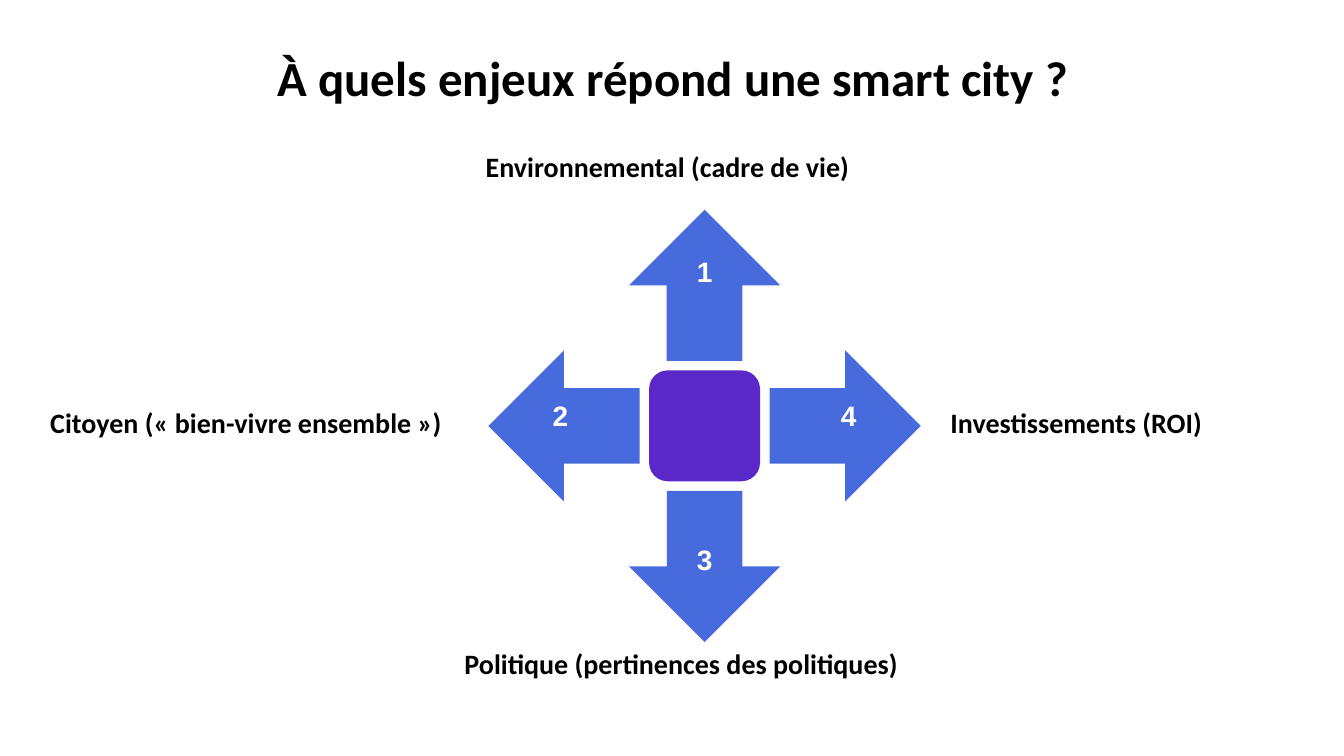
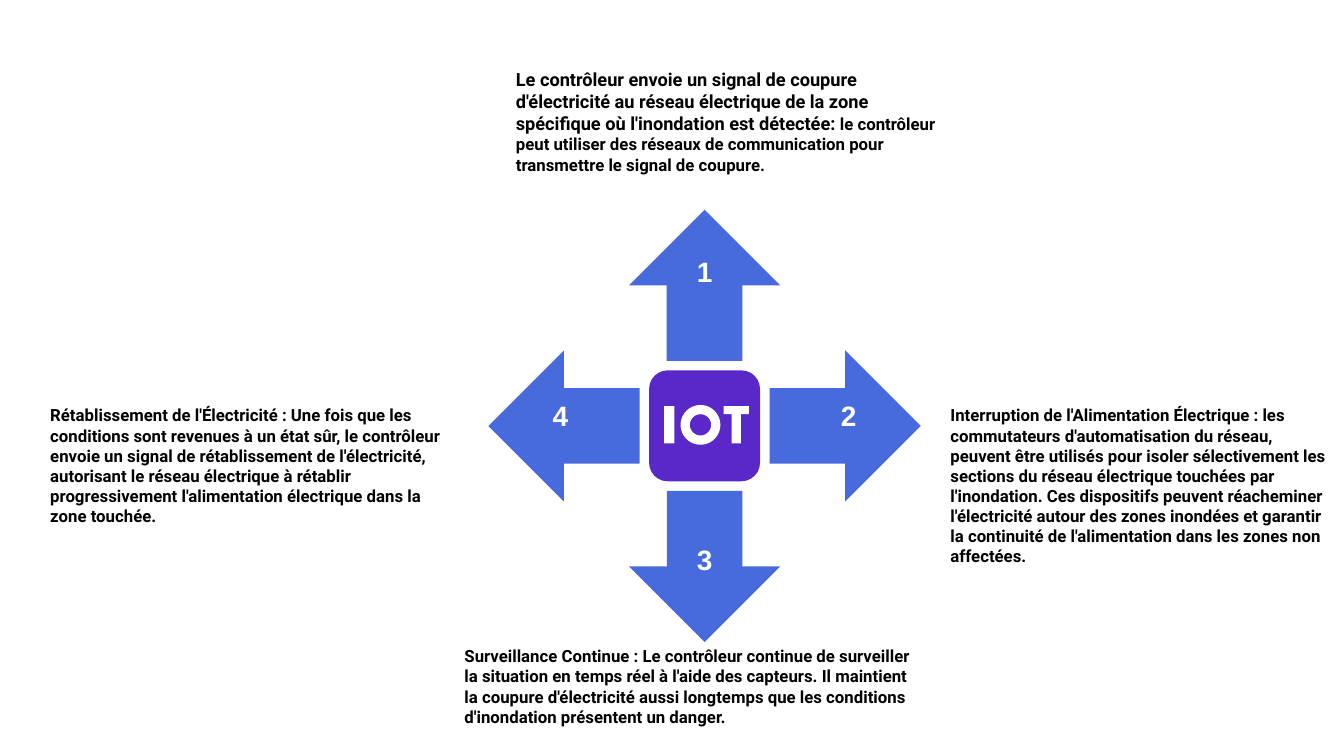
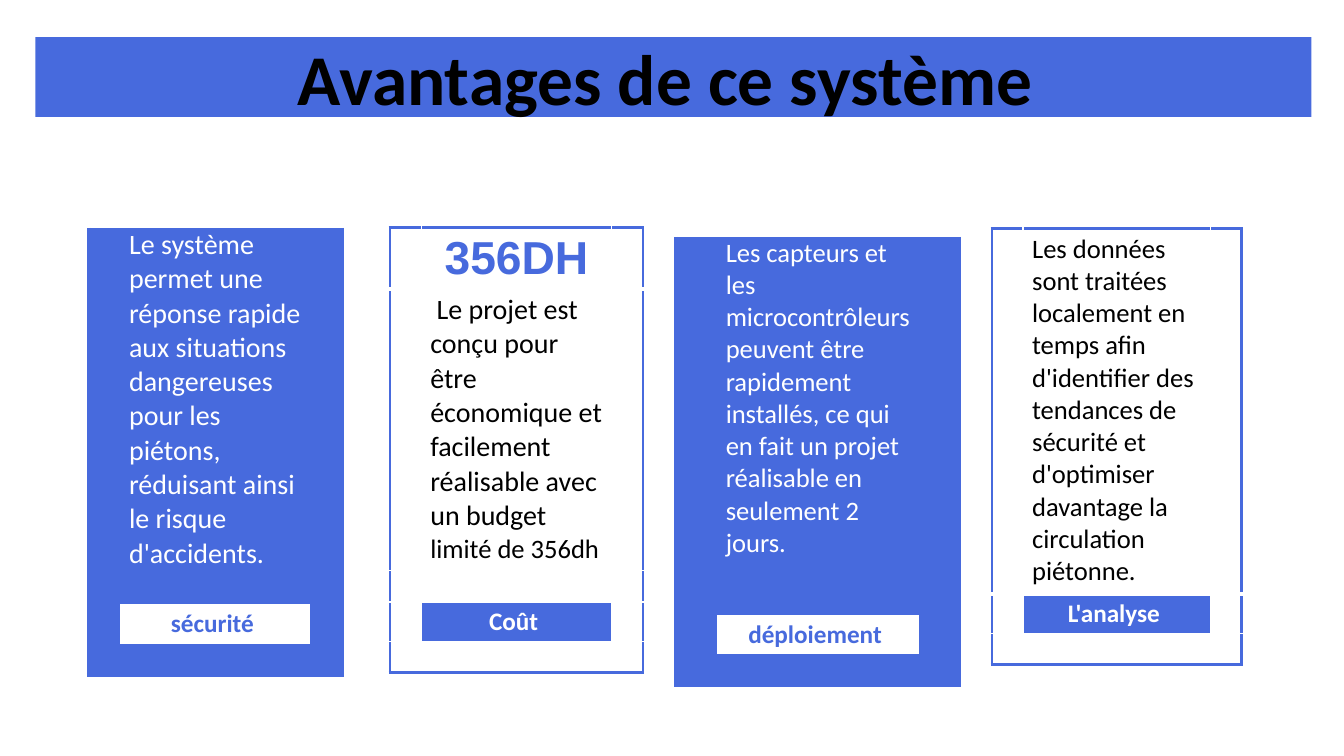
"""Build three slides on the smart city: its stakes, the IoT control loop and its advantages."""
import math

import lxml.etree
import pptx
import pptx.dml.color
import pptx.enum.shapes
import pptx.enum.text
import pptx.oxml.ns
import pptx.util

Pt = pptx.util.Pt
SHAPE = pptx.enum.shapes.MSO_SHAPE
ALIGN = pptx.enum.text.PP_ALIGN
ANCHOR = pptx.enum.text.MSO_ANCHOR

BLUE = pptx.dml.color.RGBColor(0x47, 0x6A, 0xDD)
PURPLE = pptx.dml.color.RGBColor(0x5A, 0x28, 0xC8)
BLACK = pptx.dml.color.RGBColor(0, 0, 0)
WHITE = pptx.dml.color.RGBColor(0xFF, 0xFF, 0xFF)

TITLE_BOX = (25.2, 26.6, 911.5, 56.9)
HUB_CENTER = (503.3, 304.2)
HUB_SIZE = 79.2
ARROW_SIZE = 108
ARROW_RADIUS = 100.4
NUMBER_RADIUS = 103
NUMBER_RISE = 7.2
NUMBER_SIZE = (44.6, 24.5)
NO_GRID_STYLE = "{2D5ABB26-0587-4C30-8999-92F81FD0307C}"
EDGES = {"left": "a:lnL", "right": "a:lnR", "top": "a:lnT", "bottom": "a:lnB"}

STAKES = {
    "title": "À quels enjeux répond une smart city ?",
    "font": "Calibri",
    "numbers": ["1", "4", "3", "2"],
    "labels": [
        ((339.8, 103, 327.6, 31.7), [("Environnemental (cadre de vie)", 20)]),
        ((671.8, 285.8, 288, 31.7), [("Investissements (ROI)", 20)]),
        ((324.7, 457.9, 341.3, 55.4), [("Politique (pertinences des politiques)", 20)]),
        ((28.8, 285.8, 308.2, 31.7), [("Citoyen (« bien-vivre ensemble »)", 20)]),
    ],
}

CONTROL_LOOP = {
    "font": "Roboto",
    "numbers": ["1", "2", "3", "4"],
    "labels": [
        ((361.4, 45.4, 327.6, 83.5), [
            ("Le contrôleur envoie un signal de coupure d'électricité au réseau électrique "
             "de la zone spécifique où l'inondation est détectée: ", 13),
            ("le contrôleur peut utiliser des réseaux de communication pour transmettre "
             "le signal de coupure.", 12)]),
        ((671.8, 285.8, 288, 123.8), [
            ("Interruption de l'Alimentation Électrique : les commutateurs d'automatisation "
             "du réseau, peuvent être utilisés pour isoler sélectivement les sections du "
             "réseau électrique touchées par l'inondation. Ces dispositifs peuvent "
             "réacheminer l'électricité autour des zones inondées et garantir la continuité "
             "de l'alimentation dans les zones non affectées.", 12)]),
        ((324.7, 457.9, 341.3, 90), [
            ("Surveillance Continue : Le contrôleur continue de surveiller la situation en "
             "temps réel à l'aide des capteurs. Il maintient la coupure d'électricité aussi "
             "longtemps que les conditions d'inondation présentent un danger.", 12)]),
        ((28.8, 285.8, 308.2, 94.3), [
            ("Rétablissement de l'Électricité : Une fois que les conditions sont revenues à "
             "un état sûr, le contrôleur envoie un signal de rétablissement de "
             "l'électricité, autorisant le réseau électrique à rétablir progressivement "
             "l'alimentation électrique dans la zone touchée.", 12)]),
    ],
}

ADVANTAGES_TITLE = "Avantages de ce système "
CARDS = [
    {"left": 63.4, "top": 162.7, "columns": (22.3, 136.1), "solid": True, "rows": [
        (269, "body", [("Le système permet une réponse rapide aux situations dangereuses "
                        "pour les piétons, réduisant ainsi le risque d'accidents.", 20)]),
        (28.1, "label", [("sécurité ", 18)]),
        (22.3, "empty", [])]},
    {"left": 278.6, "top": 162.7, "columns": (22.3, 136.1), "solid": False, "rows": [
        (43.6, "figure", [("356DH", 33)]),
        (201.4, "body", [(" Le projet est conçu pour être économique et facilement "
                          "réalisable avec un budget ", 20), ("limité de 356dh", 19)]),
        (22.3, "empty", []),
        (28.1, "label", [("Coût ", 18)]),
        (22.3, "empty", [])]},
    {"left": 483.1, "top": 169.2, "columns": (28.8, 144.7), "solid": True, "rows": [
        (270, "body", [("Les capteurs et les microcontrôleurs peuvent être rapidement "
                        "installés, ce qui en fait un projet réalisable en seulement "
                        "2 jours.", 19)]),
        (28.1, "label", [("déploiement ", 18)]),
        (22.3, "empty", [])]},
    {"left": 708.5, "top": 163.4, "columns": (22.3, 133.9), "solid": False, "rows": [
        (261, "body", [("Les données sont traitées localement en temps afin d'identifier des "
                        "tendances de sécurité et d'optimiser davantage la circulation "
                        "piétonne.", 19)]),
        (28.1, "label", [("L'analyse ", 18)]),
        (22.3, "empty", [])]},
]


def points(*lengths):
    """Turn numbers into lengths in points."""
    return [Pt(length) for length in lengths]


def assign(target, values):
    """Set each named attribute of the target."""
    for name, value in values.items():
        setattr(target, name, value)


def write(text_frame, runs, color, font="Calibri", bold=True, alignment=ALIGN.LEFT):
    """Write (text, size) runs as the one paragraph of a frame."""
    paragraph = text_frame.paragraphs[0]
    paragraph.alignment = alignment
    for text, size in runs:
        run = paragraph.add_run()
        run.text = text
        assign(run.font, {"name": font, "size": Pt(size), "bold": bold})
        run.font.color.rgb = color


def add_text(slide, box, runs, color, inset=(7.2, 3.6), **style):
    """Add a wrapped text box."""
    text_frame = slide.shapes.add_textbox(*points(*box)).text_frame
    side, end = points(*inset)
    assign(text_frame, {"word_wrap": True, "margin_left": side, "margin_right": side,
                        "margin_top": end, "margin_bottom": end})
    write(text_frame, runs, color, **style)


def paint(shape, color):
    """Give a shape a plain fill without line or shadow."""
    shape.shadow.inherit = False
    shape.fill.solid()
    shape.fill.fore_color.rgb = color
    shape.line.fill.background()


def set_title(slide, text, size):
    """Place and fill the title placeholder."""
    title = slide.shapes.title
    assign(title, dict(zip(("left", "top", "width", "height"), points(*TITLE_BOX))))
    assign(title.text_frame, {"word_wrap": True, "vertical_anchor": ANCHOR.MIDDLE,
                              "auto_size": pptx.enum.text.MSO_AUTO_SIZE.NONE})
    write(title.text_frame, [(text, size)], BLACK, alignment=ALIGN.CENTER)
    return title


def centered(center_x, center_y, width, height):
    """Return the box around a centre."""
    return center_x - width / 2, center_y - height / 2, width, height


def add_compass(slide, content):
    """Draw the hub, its four arrows, their numbers and their labels."""
    hub_x, hub_y = HUB_CENTER
    arrows = slide.shapes.add_group_shape()
    hub = slide.shapes.add_shape(SHAPE.ROUNDED_RECTANGLE,
                                 *points(*centered(hub_x, hub_y, HUB_SIZE, HUB_SIZE)))
    paint(hub, PURPLE)
    for position, number in enumerate(content["numbers"]):
        angle = 90 * position
        across, down = math.sin(math.radians(angle)), -math.cos(math.radians(angle))
        box = centered(hub_x + ARROW_RADIUS * across, hub_y + ARROW_RADIUS * down,
                       ARROW_SIZE, ARROW_SIZE)
        arrow = arrows.shapes.add_shape(SHAPE.UP_ARROW, *points(*box))
        arrow.rotation = angle
        paint(arrow, BLUE)
        box = centered(hub_x + NUMBER_RADIUS * across,
                       hub_y + NUMBER_RADIUS * down - NUMBER_RISE, *NUMBER_SIZE)
        add_text(slide, box, [(number, 20)], WHITE, inset=(0, 0), font="Arial",
                 alignment=ALIGN.CENTER)
    for box, runs in content["labels"]:
        add_text(slide, box, runs, BLACK, font=content["font"])


def circle(center_x, center_y, radius, steps=48):
    """Return the corners of a fine polygon."""
    turns = [2 * math.pi * step / steps for step in range(steps)]
    return [(center_x + radius * math.cos(turn), center_y + radius * math.sin(turn))
            for turn in turns]


def add_iot_lettering(slide):
    """Draw the letters I, O and T as one outline."""
    top, bar, bottom = 290.2, 295.9, 316.8
    letter_i = [(474.5, top), (481.7, top), (481.7, bottom), (474.5, bottom)]
    letter_t = [(517, top), (535, top), (535, bar), (529.2, bar),
                (529.2, bottom), (522.7, bottom), (522.7, bar), (517, bar)]
    ring = [circle(500.4, 303.5, 14.2), circle(500.4, 303.5, 7.6)[::-1]]
    builder = slide.shapes.build_freeform(*points(*letter_i[0]))
    for index, contour in enumerate([letter_i, letter_t, *ring]):
        corners = [points(*corner) for corner in contour]
        if index:
            builder.move_to(*corners[0])
        builder.add_line_segments(corners[1:], close=True)
    paint(builder.convert_to_shape(), WHITE)


def set_border(cell, edge, color, width):
    """Draw one edge of a table cell."""
    properties = cell._tc.get_or_add_tcPr()
    qualified = pptx.oxml.ns.qn
    line = lxml.etree.SubElement(properties, qualified(EDGES[edge]), w=str(Pt(width)))
    fill = lxml.etree.SubElement(line, qualified("a:solidFill"))
    lxml.etree.SubElement(fill, qualified("a:srgbClr"), val=str(color))


def border_cell(cell, row, column, row_count, solid):
    """Frame the card in blue; outlined cards also get white inner edges."""
    outer = {"left": column == 0, "right": column == 2,
             "top": row == 0, "bottom": row == row_count - 1}
    for edge, is_outer in outer.items():
        below_first_row = (row, edge) in ((0, "bottom"), (1, "top"))
        if solid:
            if is_outer and edge != "top":
                set_border(cell, edge, BLUE, 3)
        elif is_outer:
            set_border(cell, edge, BLUE, 2.25)
        else:
            set_border(cell, edge, WHITE, 3 if below_first_row else 1)


def add_card(slide, card):
    """Build one advantage card as a three-column table."""
    side, middle = card["columns"]
    widths, rows, solid = (side, middle, side), card["rows"], card["solid"]
    frame = slide.shapes.add_table(len(rows), len(widths), *points(
        card["left"], card["top"], sum(widths), sum(row[0] for row in rows)))
    table = frame.table
    assign(table, {"first_row": False, "horz_banding": False})
    table._tbl.tblPr.find(pptx.oxml.ns.qn("a:tableStyleId")).text = NO_GRID_STYLE
    for column, width in zip(table.columns, widths):
        column.width = Pt(width)
    ground, accent = (BLUE, WHITE) if solid else (WHITE, BLUE)
    styles = {
        "body": {"color": WHITE if solid else BLACK, "bold": False},
        "figure": {"color": BLUE, "font": "Arial", "alignment": ALIGN.CENTER},
        "label": {"color": ground, "alignment": ALIGN.CENTER},
    }
    for row, (height, kind, runs) in enumerate(rows):
        table.rows[row].height = Pt(height)
        for column in range(len(widths)):
            cell = table.cell(row, column)
            filled = column == 1 and kind != "empty"
            end = Pt(3) if filled and not (solid and kind == "body") else Pt(0)
            assign(cell, {"margin_left": Pt(6.5), "margin_right": Pt(6.5),
                          "margin_top": end, "margin_bottom": end})
            border_cell(cell, row, column, len(rows), solid)
            cell.fill.solid()
            cell.fill.fore_color.rgb = accent if filled and kind == "label" else ground
            if filled:
                cell.vertical_anchor = ANCHOR.TOP if kind == "body" else ANCHOR.MIDDLE
                write(cell.text_frame, runs, **styles[kind])


def main():
    """Build and save the presentation."""
    presentation = pptx.Presentation()
    assign(presentation, {"slide_width": Pt(960), "slide_height": Pt(540)})
    title_only, blank = presentation.slide_layouts[5], presentation.slide_layouts[6]

    stakes = presentation.slides.add_slide(title_only)
    set_title(stakes, STAKES["title"], 35)
    add_compass(stakes, STAKES)

    control_loop = presentation.slides.add_slide(blank)
    add_compass(control_loop, CONTROL_LOOP)
    add_iot_lettering(control_loop)

    advantages = presentation.slides.add_slide(title_only)
    band = set_title(advantages, ADVANTAGES_TITLE, 51)
    band.fill.solid()
    band.fill.fore_color.rgb = BLUE
    for card in CARDS:
        add_card(advantages, card)

    presentation.save("out.pptx")


if __name__ == "__main__":
    main()
